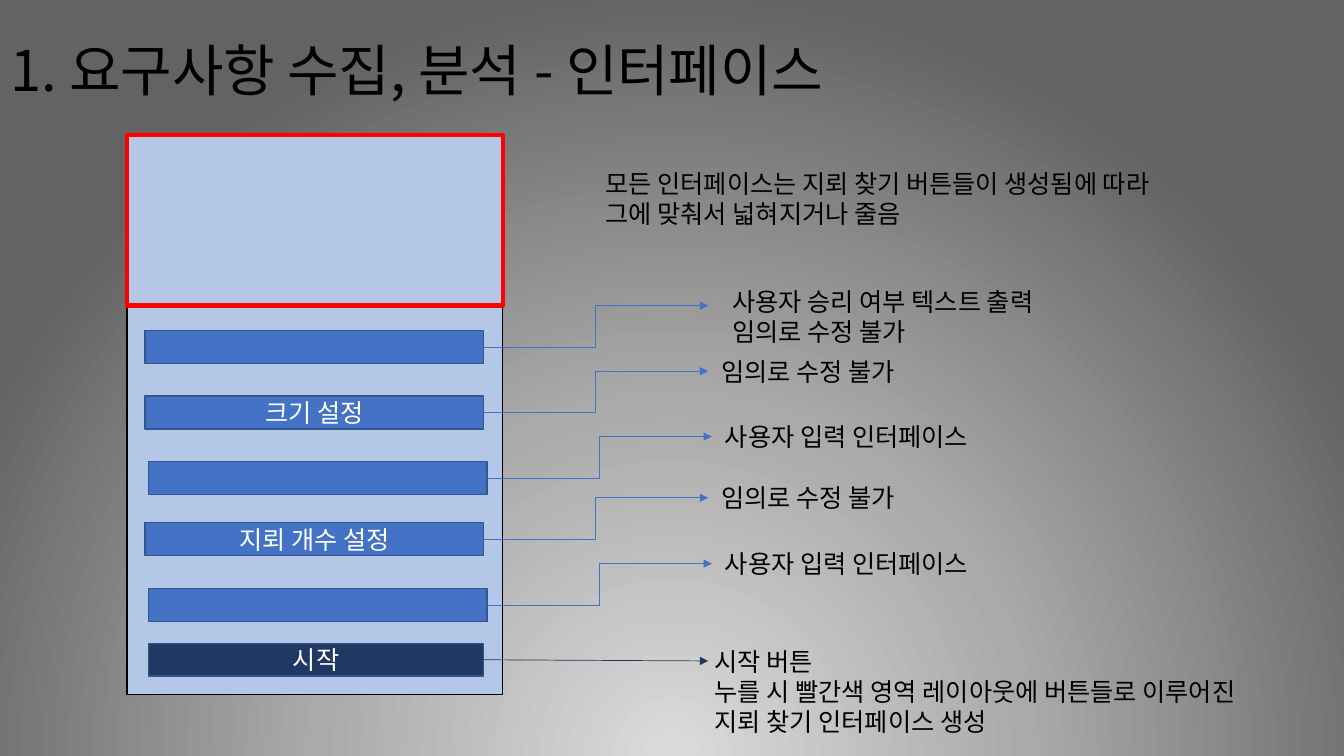
"""Build the minesweeper interface requirements slide."""
from dataclasses import dataclass
from typing import Any, Optional

from lxml import etree
from pptx import Presentation
from pptx import util as u
from pptx.dml import color
from pptx.enum import shapes, text
from pptx.oxml import ns


@dataclass(frozen=True)
class Theme:
    font: str = "Noto Sans CJK KR"
    title_size: int = 40
    body_size: int = 18
    ink: str = "000000"
    light: str = "FFFFFF"
    panel: str = "B4C7E7"
    button: str = "4472C4"
    button_edge: str = "325491"
    start: str = "203864"
    highlight: str = "FF0000"
    backdrop: tuple = ((0, "DBDBDB"), (46, "AAAAAA"), (100, "636363"))


@dataclass(frozen=True)
class Rect:
    left: float
    top: float
    width: float
    height: float

    def lengths(self) -> list:
        return [u.Cm(value) for value in (self.left, self.top, self.width, self.height)]


@dataclass(frozen=True)
class Row:
    top: float
    note: tuple
    note_width: float
    caption: str = ""
    shift: float = 0
    width: float = 8.52
    fill: str = "4472C4"
    rise: float = 1.04
    note_at: Optional[tuple] = None
    connector: Any = shapes.MSO_CONNECTOR.ELBOW


THEME = Theme()
BUTTON_LEFT, BUTTON_HEIGHT, ARROW_END = 3.66, 0.83, 17.85
FIXED = ("임의로 수정 불가",)
INPUT = ("사용자 입력 인터페이스",)
ROWS = (
    Row(8.33, ("사용자 승리 여부 텍스트 출력", "임의로 수정 불가"), 9.12, note_at=(18.21, 7.09)),
    Row(9.98, FIXED, 5.46, "크기 설정"),
    Row(11.63, INPUT, 7.39, shift=0.09),
    Row(13.17, FIXED, 5.46, "지뢰 개수 설정"),
    Row(14.83, INPUT, 7.39, shift=0.09),
    Row(16.21, ("시작 버튼", "누를 시 빨간색 영역 레이아웃에 버튼들로 이루어진", "지뢰 찾기 인터페이스 생성"),
        15.34, "시작", 0.09, 8.43, THEME.start, -0.03, (17.76, 16.16), shapes.MSO_CONNECTOR.STRAIGHT),
)


def apply(target: Any, values: dict) -> None:
    for name, value in values.items():
        setattr(target, name, value)


def write(frame: Any, lines: tuple, size: int, ink: str, para_format: dict) -> None:
    for index, line in enumerate(lines):
        para = frame.add_paragraph() if index else frame.paragraphs[0]
        apply(para, para_format)
        span = para.add_run()
        apply(span, {"text": line})
        apply(span.font, {"size": u.Pt(size), "name": THEME.font})
        span.font.color.rgb = color.RGBColor.from_string(ink)
        etree.SubElement(span.font._element, ns.qn("a:ea"), typeface=THEME.font)


def add_box(page: Any, rect: Rect, fill: str, edge: str, weight: float, caption: str = "") -> Any:
    box = page.shapes.add_shape(shapes.MSO_SHAPE.RECTANGLE, *rect.lengths())
    box.shadow.inherit = False
    box.fill.solid()
    box.fill.fore_color.rgb = color.RGBColor.from_string(fill)
    box.line.color.rgb = color.RGBColor.from_string(edge)
    box.line.width = u.Pt(weight)
    if caption:
        apply(box.text_frame, {"vertical_anchor": text.MSO_ANCHOR.MIDDLE})
        write(box.text_frame, (caption,), THEME.body_size, THEME.light,
              {"alignment": text.PP_ALIGN.CENTER})
    return box


def add_note(page: Any, left: float, top: float, width: float, lines: tuple) -> None:
    rect = Rect(left, top, width, 0.25 + 0.77 * len(lines))
    box = page.shapes.add_textbox(*rect.lengths())
    apply(box.text_frame, {"word_wrap": False, "auto_size": text.MSO_AUTO_SIZE.SHAPE_TO_FIT_TEXT})
    write(box.text_frame, lines, THEME.body_size, THEME.ink, {"alignment": text.PP_ALIGN.LEFT})


def add_row(page: Any, row: Row) -> None:
    left = BUTTON_LEFT + row.shift
    button = add_box(page, Rect(left, row.top, row.width, BUTTON_HEIGHT),
                     row.fill, THEME.button_edge, 1, row.caption)
    middle = row.top + BUTTON_HEIGHT / 2
    end_x = ARROW_END + (row.shift if row.rise > 0 else 0)
    end_y = middle - row.rise
    arrow = page.shapes.add_connector(row.connector, u.Cm(left + row.width), u.Cm(middle),
                                      u.Cm(end_x), u.Cm(end_y))
    arrow.begin_connect(button, 3)
    arrow.line.color.rgb = color.RGBColor.from_string(row.fill)
    arrow.line.width = u.Pt(0.5)
    properties = arrow.element.spPr
    etree.SubElement(properties.find(ns.qn("a:ln")), ns.qn("a:tailEnd"), type="triangle")
    etree.SubElement(properties, ns.qn("a:effectLst"))
    note_left, note_top = row.note_at or (end_x + 0.08, end_y - 0.51)
    add_note(page, note_left, note_top, row.note_width, row.note)


def paint_backdrop(page: Any) -> None:
    page.background.fill.gradient()
    gradient = page.element.find(".//" + ns.qn("a:gradFill"))
    for child in list(gradient):
        gradient.remove(child)
    stops = etree.SubElement(gradient, ns.qn("a:gsLst"))
    for position, tone in THEME.backdrop:
        stop = etree.SubElement(stops, ns.qn("a:gs"), pos=str(position * 1000))
        etree.SubElement(stop, ns.qn("a:srgbClr"), val=tone)
    circle = etree.SubElement(gradient, ns.qn("a:path"), {"path": "circle"})
    etree.SubElement(circle, ns.qn("a:fillToRect"), l="50000", t="130000", r="50000", b="-30000")


def add_title(page: Any, line: str) -> None:
    title = page.shapes.title
    apply(title, dict(zip(("left", "top", "width", "height"), Rect(0, 0, 29.21, 3.68).lengths())))
    apply(title.text_frame, {"vertical_anchor": text.MSO_ANCHOR.MIDDLE, "word_wrap": True,
                             "auto_size": text.MSO_AUTO_SIZE.NONE})
    write(title.text_frame, (line,), THEME.title_size, THEME.ink,
          {"alignment": text.PP_ALIGN.LEFT, "line_spacing": 0.9})


def main() -> None:
    deck = Presentation()
    apply(deck, {"slide_width": u.Cm(33.87), "slide_height": u.Cm(19.05)})
    page = deck.slides.add_slide(deck.slide_layouts.get_by_name("Title Only"))
    paint_backdrop(page)
    add_title(page, "1. 요구사항 수집, 분석 - 인터페이스")
    add_box(page, Rect(3.2, 7.7, 9.47, 9.8), THEME.panel, THEME.ink, 1)
    for row in ROWS:
        add_row(page, row)
    add_box(page, Rect(3.2, 3.4, 9.47, 4.3), THEME.panel, THEME.highlight, 3)
    add_note(page, 15.01, 4.11, 16.2,
             ("모든 인터페이스는 지뢰 찾기 버튼들이 생성됨에 따라", "그에 맞춰서 넓혀지거나 줄음"))
    deck.save("out.pptx")


if __name__ == "__main__":
    main()
